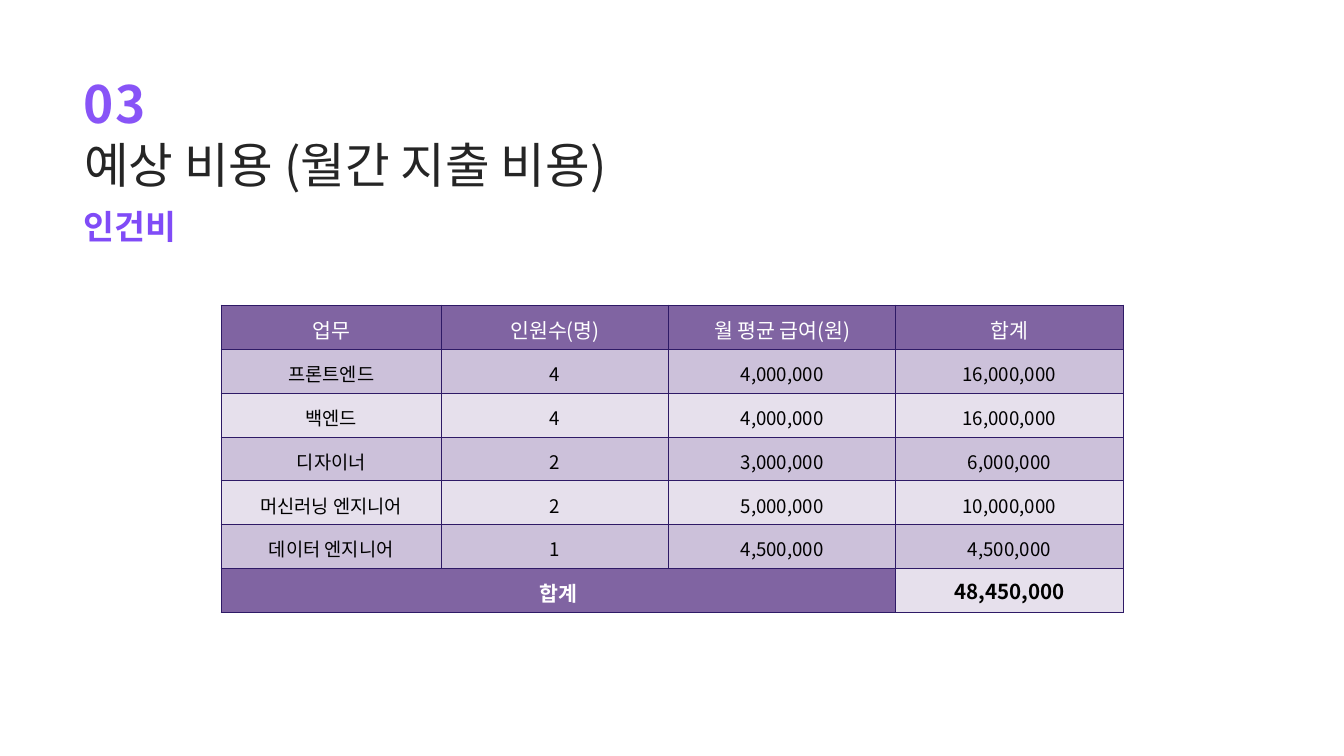
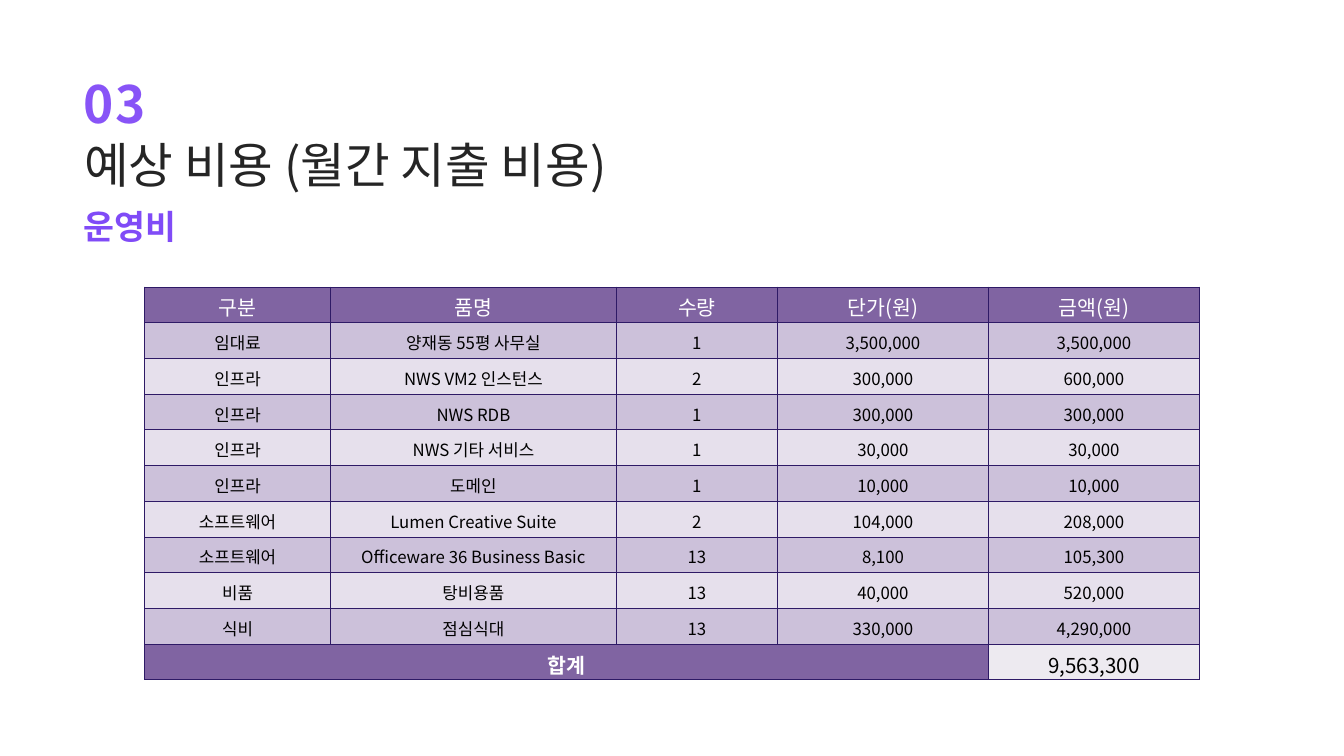
import pptx
import pptx.dml.color
import pptx.enum.text
import pptx.oxml
import pptx.oxml.ns
import pptx.util

RGBColor = pptx.dml.color.RGBColor

PX = 9144  # 100 px to the inch
SLIDE_SIZE = (2000, 1125)
FONT = "Noto Sans CJK KR"

NUMBER_PURPLE = RGBColor(0x88, 0x54, 0xF7)
SUBTITLE_PURPLE = RGBColor(0x80, 0x4B, 0xF7)
TITLE_INK = RGBColor(0x25, 0x25, 0x25)
WHITE = RGBColor(0xFF, 0xFF, 0xFF)
BLACK = RGBColor(0x00, 0x00, 0x00)
HEADER_FILL = RGBColor(0x80, 0x64, 0xA2)
ROW_FILLS = (RGBColor(0xCC, 0xC1, 0xDA), RGBColor(0xE6, 0xE0, 0xEC))
PALE_FILL = RGBColor(0xED, 0xEA, 0xF0)
BORDER = RGBColor(0x2E, 0x1A, 0x66)

HEADING_BOX = (125, 46, 1100, 325)
HEADER_SIZE = 22

STAFF_HEADER = ("업무", "인원수(명)", "월 평균 급여(원)", "합계")
STAFF_ROWS = (
    ("프론트엔드", "4", "4,000,000", "16,000,000"),
    ("백엔드", "4", "4,000,000", "16,000,000"),
    ("디자이너", "2", "3,000,000", "6,000,000"),
    ("머신러닝 엔지니어", "2", "5,000,000", "10,000,000"),
    ("데이터 엔지니어", "1", "4,500,000", "4,500,000"),
)
OPERATING_HEADER = ("구분", "품명", "수량", "단가(원)", "금액(원)")
OPERATING_ROWS = (
    ("임대료", "양재동 55평 사무실", "1", "3,500,000", "3,500,000"),
    ("인프라", "NWS VM2 인스턴스", "2", "300,000", "600,000"),
    ("인프라", "NWS RDB", "1", "300,000", "300,000"),
    ("인프라", "NWS 기타 서비스", "1", "30,000", "30,000"),
    ("인프라", "도메인", "1", "10,000", "10,000"),
    ("소프트웨어", "Lumen Creative Suite", "2", "104,000", "208,000"),
    ("소프트웨어", "Officeware 36 Business Basic", "13", "8,100", "105,300"),
    ("비품", "탕비용품", "13", "40,000", "520,000"),
    ("식비", "점심식대", "13", "330,000", "4,290,000"),
)


def add_run(paragraph, text, size, color, bold=False):
    run = paragraph.add_run()
    run.text = text
    run.font.size = pptx.util.Pt(size)
    run.font.bold = bold
    run.font.color.rgb = color
    run.font.name = FONT
    east_asian = pptx.oxml.parse_xml(
        f'<a:ea {pptx.oxml.ns.nsdecls("a")} typeface="{FONT}"/>')
    run.font._element.append(east_asian)
    return run


def add_line(slide, box, text, size, color, leading, bold=False):
    """Add a one-line text box; leading is the exact line height in points."""
    shape = slide.shapes.add_textbox(*(length * PX for length in box))
    frame = shape.text_frame
    frame.margin_left = frame.margin_right = 0
    frame.margin_top = frame.margin_bottom = 0
    frame.word_wrap = True
    frame.auto_size = pptx.enum.text.MSO_AUTO_SIZE.SHAPE_TO_FIT_TEXT
    paragraph = frame.paragraphs[0]
    paragraph.line_spacing = pptx.util.Pt(leading)
    return add_run(paragraph, text, size, color, bold)


def add_heading(slide, box, subtitle):
    left, top, width, height = box
    number = add_line(slide, (left, top, 153, 139), "03", 55,
                      NUMBER_PURPLE, 110, bold=True)
    number.font._element.set("spc", "130")
    add_line(slide, (left, top + 97, 875, 131), "예상 비용 (월간 지출 비용)",
             52, TITLE_INK, 104)
    add_line(slide, (left, top + height - 49, width, 49), subtitle, 36,
             SUBTITLE_PURPLE, 32.1, bold=True)


def add_borders(cell):
    properties = cell._tc.get_or_add_tcPr()
    for index, side in enumerate("LRTB"):
        properties.insert(index, pptx.oxml.parse_xml(
            f'<a:ln{side} {pptx.oxml.ns.nsdecls("a")} w="12700">'
            f'<a:solidFill><a:srgbClr val="{BORDER}"/></a:solidFill>'
            f'</a:ln{side}>'))


def fill_cell(cell, text, size, color, fill, bold=False, spaced=True):
    cell.margin_left = cell.margin_right = 7 * PX
    cell.margin_top = cell.margin_bottom = 0
    cell.vertical_anchor = pptx.enum.text.MSO_ANCHOR.MIDDLE
    cell.fill.solid()
    cell.fill.fore_color.rgb = fill
    paragraph = cell.text_frame.paragraphs[0]
    paragraph.alignment = pptx.enum.text.PP_ALIGN.CENTER
    if spaced:
        paragraph.line_spacing = 1.15
        paragraph.space_after = pptx.util.Pt(10)
    add_run(paragraph, text, size, color, bold)


def add_cost_table(slide, box, column_widths, header, rows, body_size):
    """Add the header and banded rows, and merge the label of the total row."""
    row_count = len(rows) + 2
    table = slide.shapes.add_table(
        row_count, len(header), *(length * PX for length in box)).table
    table.first_row = table.horz_banding = False
    for column, width in zip(table.columns, column_widths):
        column.width = width * PX
    for row in table.rows:
        row.height = box[3] * PX // row_count

    for index, text in enumerate(header):
        fill_cell(table.cell(0, index), text, HEADER_SIZE, WHITE, HEADER_FILL)
    for row_index, values in enumerate(rows):
        for index, text in enumerate(values):
            fill_cell(table.cell(row_index + 1, index), text, body_size,
                      BLACK, ROW_FILLS[row_index % 2])

    last_row = row_count - 1
    label = table.cell(last_row, 0)
    label.merge(table.cell(last_row, len(header) - 2))
    fill_cell(label, "합계", HEADER_SIZE, WHITE, HEADER_FILL, bold=True)
    for cell in table.iter_cells():
        add_borders(cell)
    return table.cell(last_row, len(header) - 1)


def add_cost_slide(presentation, subtitle):
    slide = presentation.slides.add_slide(presentation.slide_layouts[6])
    add_heading(slide, HEADING_BOX, subtitle)
    return slide


def build_staff_slide(presentation):
    slide = add_cost_slide(presentation, "인건비")
    total = add_cost_table(slide, (329, 454, 1342, 458), (328, 338, 338, 338),
                           STAFF_HEADER, STAFF_ROWS, 20)
    fill_cell(total, "48,450,000", HEADER_SIZE, BLACK, ROW_FILLS[1],
              bold=True, spaced=False)


def build_operating_slide(presentation):
    slide = add_cost_slide(presentation, "운영비")
    total = add_cost_table(slide, (215, 427, 1570, 585),
                           (277, 425, 240, 314, 314),
                           OPERATING_HEADER, OPERATING_ROWS, 18)
    fill_cell(total, "9,563,300", HEADER_SIZE, BLACK, PALE_FILL)


def main():
    presentation = pptx.Presentation()
    presentation.slide_width, presentation.slide_height = (
        length * PX for length in SLIDE_SIZE)
    build_staff_slide(presentation)
    build_operating_slide(presentation)
    presentation.save("out.pptx")


if __name__ == "__main__":
    main()
